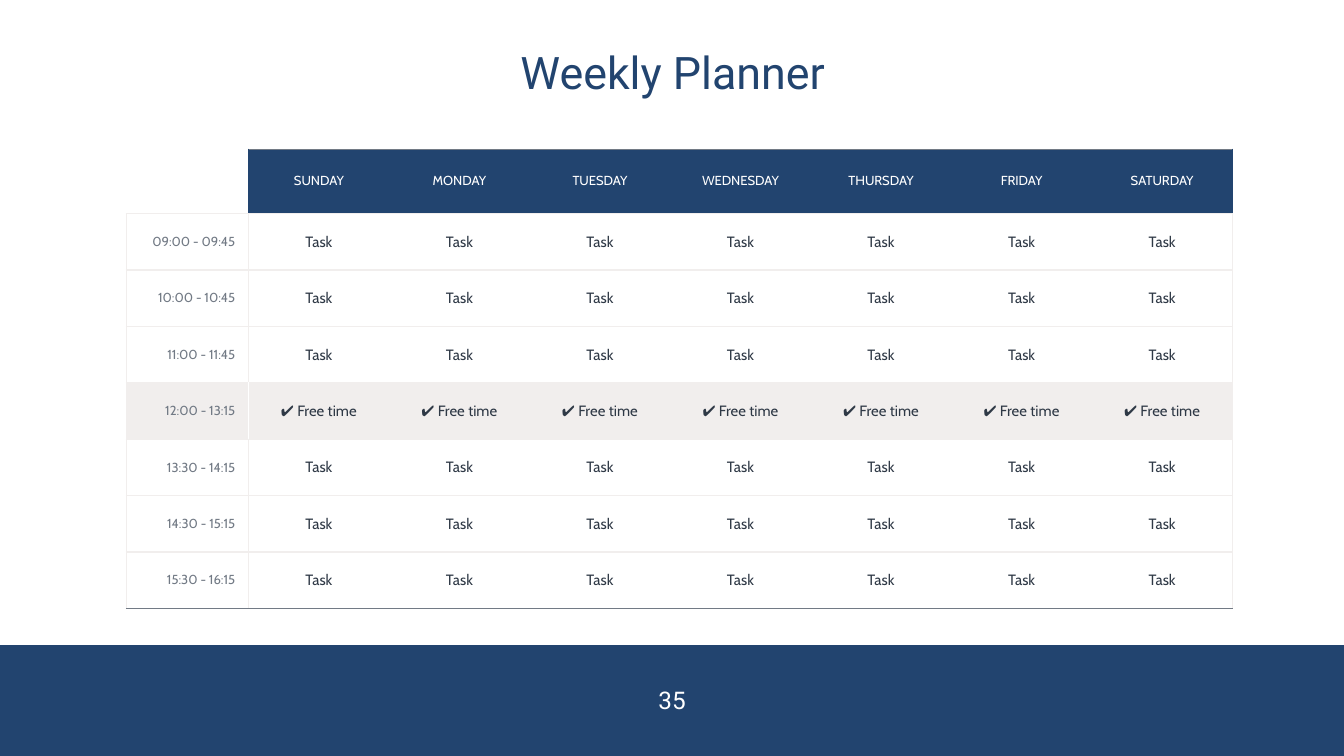
import lxml.etree
import pptx
import pptx.dml.color
import pptx.enum.shapes
import pptx.enum.text
import pptx.oxml.ns
import pptx.util

TITLE = "Weekly Planner"
PAGE = "35"
DAYS = ["SUNDAY", "MONDAY", "TUESDAY", "WEDNESDAY", "THURSDAY", "FRIDAY", "SATURDAY"]
HOURS = [
    ("09:00 - 09:45", "Task"),
    ("10:00 - 10:45", "Task"),
    ("11:00 - 11:45", "Task"),
    ("12:00 - 13:15", "✔ Free time"),
    ("13:30 - 14:15", "Task"),
    ("14:30 - 15:15", "Task"),
    ("15:30 - 16:15", "Task"),
]
HUES = {"navy": "22446F", "gray": "727A85", "mist": "F1EEED", "ink": "2F3946", "white": "FFFFFF"}
WIDE = 10
HIGH = WIDE * 9 / 16
LEFT, TOP, SPAN = 0.94, 1.11, 8.23
SIDE, HEAD, STEP = 0.91, 0.48, 0.42
FOOT = 4.8
PAD = 0.1

inch = pptx.util.Inches
align = pptx.enum.text.PP_ALIGN
middle = pptx.enum.text.MSO_ANCHOR.MIDDLE
qn = pptx.oxml.ns.qn


def hue(name):
    return pptx.dml.color.RGBColor.from_string(HUES[name])


def write(frame, text, face, size, tone, side=align.CENTER):
    para = frame.paragraphs[0]
    para.text = text
    para.alignment = side
    para.font.name = face
    para.font.size = pptx.util.Pt(size)
    para.font.color.rgb = hue(tone)
    return para


def label(slide, box, text, size, tone):
    frame = slide.shapes.add_textbox(*map(inch, box)).text_frame
    frame.word_wrap = True
    frame.vertical_anchor = middle
    frame.margin_left = frame.margin_right = frame.margin_top = frame.margin_bottom = 0
    return write(frame, text, "Roboto", size, tone)


def across(edge, col):
    if edge == 0:
        return "gray" if col else None
    return "gray" if edge == len(HOURS) + 1 else "mist"


def down(edge, row, free):
    if edge not in (0, 1, len(DAYS) + 1):
        return None
    if row == 0:
        return "navy" if edge else None
    return "white" if free and edge == 1 else "mist"


def rule(cell, lines):
    props = cell._tc.get_or_add_tcPr()
    for tag, tone in lines:
        line = lxml.etree.SubElement(props, qn("a:" + tag), w=str(pptx.util.Pt(0.75)))
        if tone:
            fill = lxml.etree.SubElement(line, qn("a:solidFill"))
            lxml.etree.SubElement(fill, qn("a:srgbClr"), val=HUES[tone])
        else:
            lxml.etree.SubElement(line, qn("a:noFill"))


def style(cell, row, col, text, free):
    rule(cell, [
        ("lnL", down(col, row, free)),
        ("lnR", down(col + 1, row, free)),
        ("lnT", across(row, col)),
        ("lnB", across(row + 1, col)),
    ])
    back = "navy" if row == 0 and col else "mist" if free else None
    if back:
        cell.fill.solid()
        cell.fill.fore_color.rgb = hue(back)
    else:
        cell.fill.background()
    cell.vertical_anchor = middle
    cell.margin_left = cell.margin_right = cell.margin_top = cell.margin_bottom = inch(PAD)
    if row == 0:
        write(cell.text_frame, text, "Cabin", 7, "white")
    elif col == 0:
        write(cell.text_frame, text, "Cabin", 7, "gray", align.RIGHT)
    else:
        write(cell.text_frame, text, "Cabin", 8, "ink")


def plan(slide):
    rows = [[""] + DAYS] + [[hour] + [task] * len(DAYS) for hour, task in HOURS]
    tall = HEAD + STEP * len(HOURS)
    box = map(inch, (LEFT, TOP, SPAN, tall))
    table = slide.shapes.add_table(len(rows), len(rows[0]), *box).table
    table.first_row = table.horz_banding = False
    for c, column in enumerate(table.columns):
        column.width = inch((SPAN - SIDE) / len(DAYS) if c else SIDE)
    for r, texts in enumerate(rows):
        table.rows[r].height = inch(STEP if r else HEAD)
        free = r > 0 and texts[1] != "Task"
        for c, text in enumerate(texts):
            style(table.cell(r, c), r, c, text, free)


def main():
    deck = pptx.Presentation()
    deck.slide_width, deck.slide_height = inch(WIDE), inch(HIGH)
    slide = deck.slides.add_slide(deck.slide_layouts[6])
    band = slide.shapes.add_shape(
        pptx.enum.shapes.MSO_SHAPE.RECTANGLE, 0, inch(FOOT), inch(WIDE), inch(HIGH - FOOT))
    band.shadow.inherit = False
    band.fill.solid()
    band.fill.fore_color.rgb = hue("navy")
    band.line.fill.background()
    label(slide, (LEFT, 0, 8.13, TOP), TITLE, 24, "navy").line_spacing = 0.9
    label(slide, (4.29, 4.93, 1.42, 0.56), PAGE, 13, "white")
    plan(slide)
    deck.save("out.pptx")


if __name__ == "__main__":
    main()
